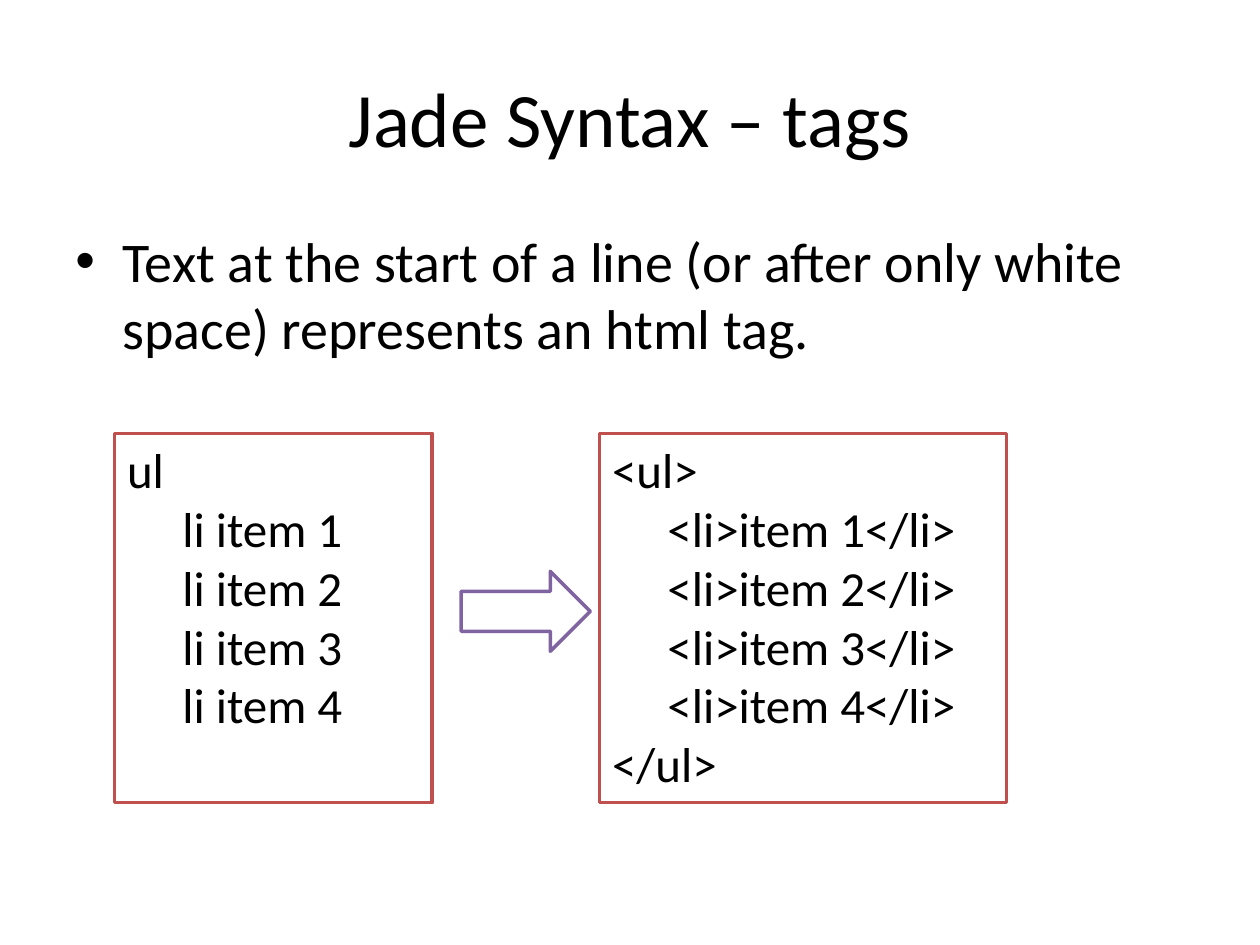
"""Build a slide showing how Jade tags become HTML."""
from lxml import etree
from pptx import Presentation
from pptx.dml.color import RGBColor
from pptx.enum.shapes import MSO_SHAPE
from pptx.enum.text import MSO_ANCHOR, PP_ALIGN
from pptx.oxml.ns import qn
from pptx.util import Pt

RECTANGLE, ARROW = MSO_SHAPE.RECTANGLE, MSO_SHAPE.RIGHT_ARROW
TOP, MIDDLE = MSO_ANCHOR.TOP, MSO_ANCHOR.MIDDLE
LEFT, CENTER = PP_ALIGN.LEFT, PP_ALIGN.CENTER
COLORS = {"text": "000000", "fill": "FFFFFF", "code": "C0504D", "arrow": "8064A2"}
FONT = "Calibri"


def write_lines(box, lines, size, align=LEFT, anchor=TOP):
    frame = box.text_frame
    frame.word_wrap = True
    frame.vertical_anchor = anchor
    for index, line in enumerate(lines):
        para = frame.add_paragraph() if index else frame.paragraphs[0]
        para.alignment = align
        span = para.add_run()
        span.text = line
        span.font.name = FONT
        span.font.size = Pt(size)
        span.font.color.rgb = RGBColor.from_string(COLORS["text"])


def add_outlined(kind, left, top, width, height, color):
    shape = page.shapes.add_shape(kind, Pt(left), Pt(top), Pt(width), Pt(height))
    shape.shadow.inherit = False
    shape.fill.solid()
    shape.fill.fore_color.rgb = RGBColor.from_string(COLORS["fill"])
    shape.line.color.rgb = RGBColor.from_string(COLORS[color])
    shape.line.width = Pt(2)
    return shape


deck = Presentation()
deck.slide_width, deck.slide_height = Pt(720), Pt(540)
page = deck.slides.add_slide(deck.slide_layouts[6])

title = page.shapes.add_textbox(Pt(36), Pt(21.6), Pt(648), Pt(90))
write_lines(title, ["Jade Syntax – tags"], 44, CENTER, MIDDLE)

body = page.shapes.add_textbox(Pt(36), Pt(126), Pt(648), Pt(356.4))
write_lines(body, ["Text at the start of a line (or after only white space) represents an html tag."], 32)
properties = body.text_frame.paragraphs[0]._p.get_or_add_pPr()
properties.set("marL", str(Pt(27)))
properties.set("indent", str(Pt(-27)))
etree.SubElement(properties, qn("a:buFont")).set("typeface", "Arial")
etree.SubElement(properties, qn("a:buChar")).set("char", "•")

items = [f"item {number}" for number in range(1, 5)]
jade = ["ul"] + [f"     li {item}" for item in items]
html = ["<ul>"] + [f"     <li>{item}</li>" for item in items] + ["</ul>"]
for left, width, lines in [(65.5, 181.5, jade), (342.7, 232.6, html)]:
    box = add_outlined(RECTANGLE, left, 247.7, width, 211, "code")
    write_lines(box, lines, 28)

add_outlined(ARROW, 263.5, 326.5, 73.8, 45.7, "arrow")

deck.save("out.pptx")
